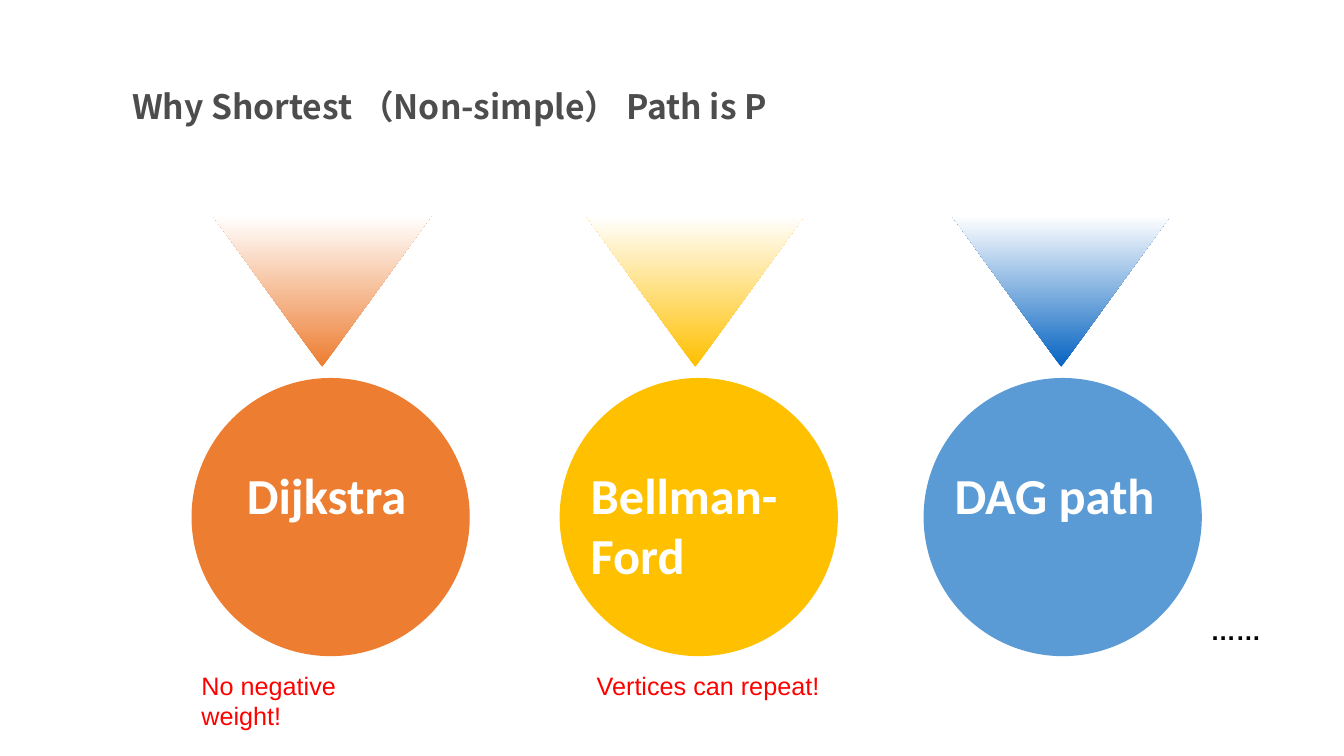
from pptx import Presentation
from pptx.dml.color import RGBColor
from pptx.enum.shapes import MSO_SHAPE as Form
from pptx.enum.text import MSO_ANCHOR as Anchor, MSO_AUTO_SIZE as Fit, PP_ALIGN as Align
from pptx.oxml.ns import qn
from pptx.util import Inches, Pt
from lxml.etree import SubElement as Sub


def tint(code):
    return RGBColor.from_string(code)


class Board:
    """Holds the style and the slide; places are percent of the slide's size."""
    head = dict(name="Noto Sans CJK SC", size=Pt(24), bold=True, ink="4D4D4D")
    label = dict(name="Calibri", size=Pt(36), bold=True, ink="FFFFFF")
    note = dict(name="Arial", size=Pt(18), bold=False, ink="FF0000")
    dots = dict(note, bold=True, ink="000000")

    def __init__(self, deck):
        self.wide, self.high = deck.slide_width, deck.slide_height
        self.slide = deck.slides.add_slide(deck.slide_layouts[5])
        self.shapes = self.slide.shapes

    def place(self, x, y, w, h):
        return [int(self.wide * x / 100), int(self.high * y / 100),
                int(self.wide * w / 100), int(self.high * h / 100)]

    def letter(self, frame, words, style):
        """Put styled words into a text frame."""
        for key, val in dict(word_wrap=True, auto_size=Fit.NONE,
                             vertical_anchor=Anchor.TOP).items():
            setattr(frame, key, val)
        para = frame.paragraphs[0]
        para.alignment = Align.LEFT
        run = para.add_run()
        run.text = words
        for key, val in style.items():
            if key == "ink":
                run.font.color.rgb = tint(val)
            else:
                setattr(run.font, key, val)
        Sub(run.font._element, qn("a:ea")).set("typeface", style["name"])

    def title(self, words, *box):
        hold = self.shapes.title
        hold.left, hold.top, hold.width, hold.height = self.place(*box)
        self.letter(hold.text_frame, words, self.head)

    def text(self, words, style, *box):
        item = self.shapes.add_textbox(*self.place(*box))
        self.letter(item.text_frame, words, style)

    def shape(self, form, *box):
        item = self.shapes.add_shape(form, *self.place(*box))
        item.shadow.inherit = False
        item.line.fill.background()
        return item

    def beam(self, code, *box):
        """Draw a triangle pointing down that fades to white at its top."""
        item = self.shape(Form.ISOSCELES_TRIANGLE, *box)
        item._element.spPr.xfrm.set("flipV", "1")
        item.fill.gradient()
        item.fill.gradient_angle = 270
        for stop, hue in zip(item.fill.gradient_stops, (code, "FFFFFF")):
            stop.color.rgb = tint(hue)

    def disc(self, code, *box):
        item = self.shape(Form.OVAL, *box)
        item.fill.solid()
        item.fill.fore_color.rgb = tint(code)


def main():
    deck = Presentation()
    deck.slide_width, deck.slide_height = Inches(13.33), Inches(7.5)
    board = Board(deck)
    board.title("Why Shortest （Non-simple） Path is P", 9.08, 10.67, 56.19, 6.67)

    # name, beam colour, disc colour, then left edges of beam, disc and name
    paths = [
        ("Dijkstra", "ED7D31", "ED7D31", 15.83, 14.25, 17.63),
        ("Bellman-Ford", "FFC000", "FFC000", 43.59, 41.64, 43.21),
        ("DAG path", "0563C1", "5B9BD5", 70.82, 68.72, 70.29),
    ]
    for name, glow, fill, tip, edge, left in paths:
        board.beam(glow, tip, 28.53, 16.28, 20)
        board.disc(fill, edge, 50, 20.7, 36.8)
        tall = 17.47 if "-" in name else 9.47
        board.text(name, board.label, left, 60.67, 22.1, tall)

    board.text("Vertices can repeat!", board.note, 43.66, 88, 32.26, 5.33)
    board.text("No negative weight!", board.note, 14.25, 88, 17.85, 5.33)
    board.text("……", board.dots, 89.35, 80.67, 10.65, 5.33)
    deck.save("out.pptx")


if __name__ == "__main__":
    main()
